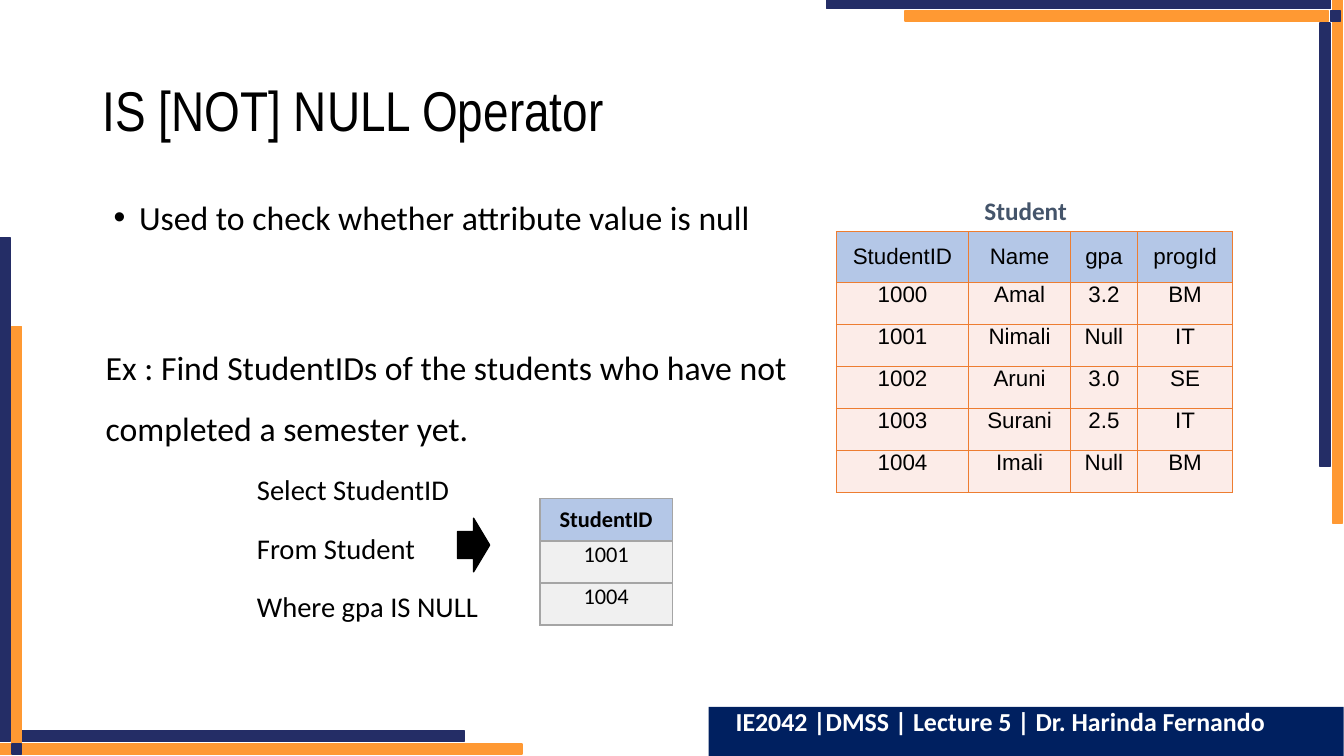
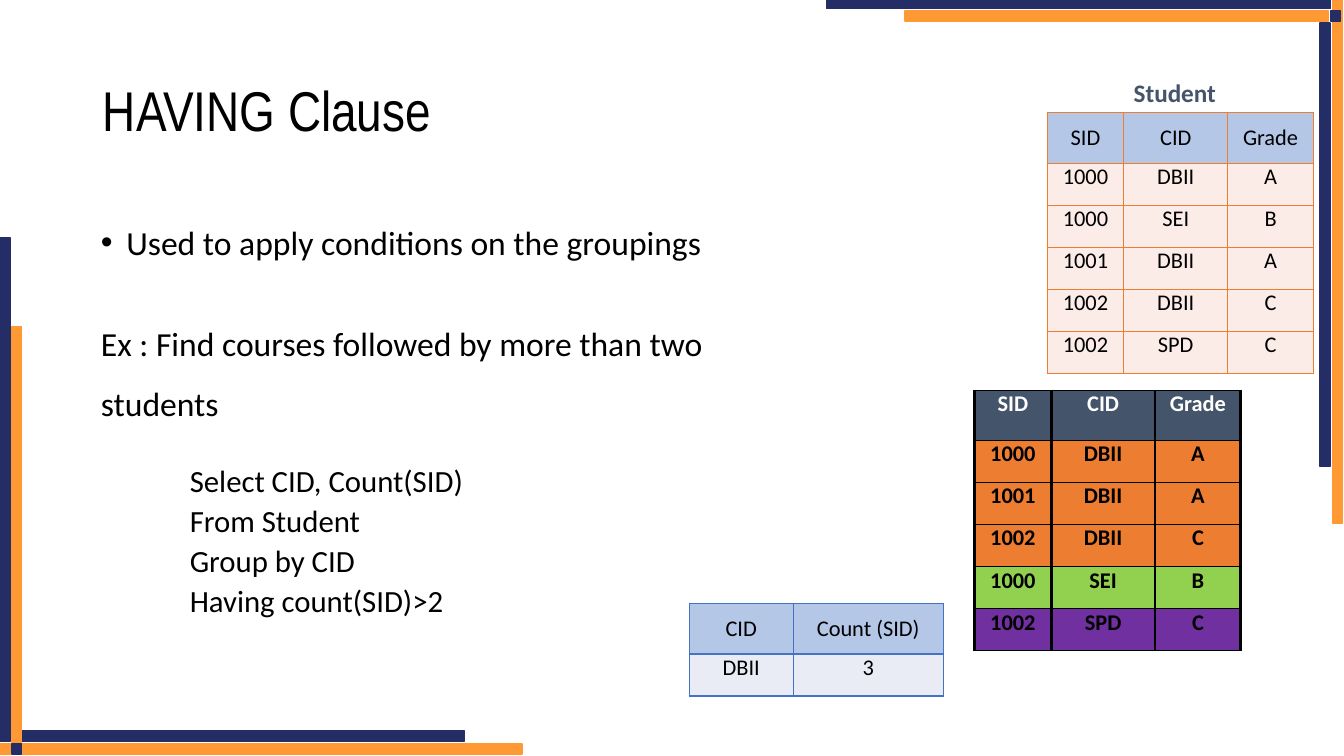
from lxml.etree import SubElement
from pptx import Presentation
from pptx.dml.color import RGBColor
from pptx.enum.shapes import MSO_SHAPE
from pptx.enum.text import MSO_ANCHOR, MSO_AUTO_SIZE, PP_ALIGN
from pptx.oxml.ns import qn
from pptx.util import Cm, Pt

COLORS = {
    "orange_band": "FF9933", "navy_band": "242D66", "footer": "002060",
    "black": "000000", "white": "FFFFFF", "slate": "44546A",
    "header": "B4C7E7", "pink": "FCECE8", "grey": "F0F0F0", "pale_blue": "E9EBF5",
    "orange": "ED7D31", "green": "92D050", "purple": "7030A0",
    "grey_line": "A5A5A5", "blue_line": "4472C4",
}
RGB = {name: RGBColor.from_string(value) for name, value in COLORS.items()}


def write(tf, text, size=16, font="Calibri", color="black", bold=False, align=PP_ALIGN.LEFT,
          line=1.0, before=0, left=0, hang=0, bullet=None, level=0):
    p = tf.add_paragraph() if tf.text else tf.paragraphs[0]
    pPr = p._p.get_or_add_pPr()
    pPr.set("marL", str(Cm(left)))
    pPr.set("indent", str(-Cm(hang)))
    if bullet:
        SubElement(pPr, qn("a:buFont")).set("typeface", "Arial")
        SubElement(pPr, qn("a:buChar")).set("char", bullet)
    else:
        SubElement(pPr, qn("a:buNone"))
    p.level, p.alignment = level, align
    p.line_spacing, p.space_before = line, Pt(before)
    r = p.add_run()
    r.text = text
    r.font.size, r.font.name, r.font.bold = Pt(size), font, bold
    r.font.color.rgb = RGB[color]


def add_grid(s, x, y, cols, rows, fills, border, head_height=1.27, side=1, font="Calibri",
             head_color="black", head_bold=False, bold=False, head_anchor=MSO_ANCHOR.MIDDLE):
    heights = [head_height] + [1.06] * (len(rows) - 1)
    table = s.shapes.add_table(len(rows), len(cols), Cm(x), Cm(y),
                               Cm(sum(cols)), Cm(sum(heights))).table
    for col, width in zip(table.columns, cols):
        col.width = Cm(width)
    for i, (values, height, fill) in enumerate(zip(rows, heights, fills)):
        table.rows[i].height = Cm(height)
        for j, value in enumerate(values):
            cell = table.cell(i, j)
            tcPr = cell._tc.get_or_add_tcPr()
            for tag, width in (("lnL", side), ("lnR", side), ("lnT", 1), ("lnB", 1)):
                ln = SubElement(tcPr, qn("a:" + tag), w=str(Pt(width)))
                SubElement(SubElement(ln, qn("a:solidFill")), qn("a:srgbClr"), val=COLORS[border])
            cell.fill.solid()
            cell.fill.fore_color.rgb = RGB[fill]
            cell.margin_left = cell.margin_right = Cm(0.25)
            cell.margin_top = cell.margin_bottom = 0
            cell.vertical_anchor = MSO_ANCHOR.TOP if i else head_anchor
            write(cell.text_frame, value, font=font, color="black" if i else head_color,
                  bold=bold if i else head_bold, align=PP_ALIGN.CENTER)


prs = Presentation()
prs.slide_width, prs.slide_height = Cm(33.87), Cm(19.05)
layout = prs.slide_layouts[1]
for ph in list(layout.placeholders)[2:]:
    ph._element.getparent().remove(ph._element)
title = layout.placeholders[0]
title.left, title.top, title.width, title.height = map(Cm, (2.34, 1.02, 29.21, 3.68))

slides = []
for heading, body_box, caption_pos in [
    ("IS [NOT] NULL Operator", (2.41, 4.32, 19.08, 11.43), (24.56, 4.8)),
    ("HAVING Clause", (2.29, 4.95, 17.86, 11.43), (28.32, 1.83)),
]:
    s = prs.slides.add_slide(layout)
    title, body = s.placeholders
    write(title.text_frame, heading, size=40, font="Arial Narrow", line=0.9)
    body.left, body.top, body.width, body.height = map(Cm, body_box)
    for sp in (title, body):
        sp.text_frame.auto_size = MSO_AUTO_SIZE.NONE
    caption = s.shapes.add_textbox(*map(Cm, caption_pos), Cm(2.62), Cm(1.02))
    write(caption.text_frame, "Student", size=18, color="slate", bold=True)
    slides.append((s, body.text_frame))

(s, tf), (having, having_tf) = slides

for color, *box in [
    ("orange_band", 33.58, -0.03, 0.25, 13.21),
    ("navy_band", 33.27, 0.58, 0.25, 11.18),
    ("navy_band", 20.83, -0.03, 12.7, 0.25),
    ("orange_band", 22.81, 0.28, 10.67, 0.25),
    ("navy_band", 33.53, 0.28, 0.25, 0.25),
    ("orange_band", -0.05, 18.75, 13.21, 0.25),
    ("navy_band", 0.53, 18.42, 11.18, 0.25),
    ("navy_band", 0, 5.99, 0.25, 12.7),
    ("orange_band", 0.3, 8.23, 0.25, 10.67),
    ("navy_band", 0.3, 18.75, 0.25, 0.25),
]:
    band = s.shapes.add_shape(MSO_SHAPE.RECTANGLE, *map(Cm, box))
    band.shadow.inherit = False
    band.fill.solid()
    band.fill.fore_color.rgb = band.line.color.rgb = RGB[color]
    band.line.width = Pt(1)
    layout.shapes._spTree.append(band._element)

write(tf, "Used to check whether attribute value is null", size=24.1, line=1.5,
      left=0.84, hang=0.64, bullet="•")
write(tf, "Ex : Find StudentIDs of the students who have not completed a semester yet.",
      size=24.1, line=1.5, before=64)
for text in ("Select StudentID", "From Student", "Where gpa IS NULL"):
    write(tf, text, size=20.4, line=1.5, before=5, left=3.81, level=1)

add_grid(s, 13.61, 12.57, [3.33], [["StudentID"], ["1001"], ["1004"]],
         ["header", "grey", "grey"], "grey_line", head_height=1.06, head_bold=True)
add_grid(s, 21.08, 5.84, [3.33, 2.57, 1.68, 2.41], [
    ["StudentID", "Name", "gpa", "progId"],
    ["1000", "Amal", "3.2", "BM"],
    ["1001", "Nimali", "Null", "IT"],
    ["1002", "Aruni", "3.0", "SE"],
    ["1003", "Surani", "2.5", "IT"],
    ["1004", "Imali", "Null", "BM"],
], ["header"] + ["pink"] * 5, "orange", font="Arial")

arrow = s.shapes.add_shape(MSO_SHAPE.RIGHT_ARROW, *map(Cm, (11.53, 13.06, 0.81, 1.35)))
arrow.shadow.inherit = False
arrow.fill.solid()
arrow.fill.fore_color.rgb = arrow.line.color.rgb = RGB["black"]
arrow.line.width = Pt(1)

footer = s.shapes.add_shape(MSO_SHAPE.RECTANGLE, *map(Cm, (17.86, 17.81, 16, 1.24)))
footer.shadow.inherit = False
footer.fill.solid()
footer.fill.fore_color.rgb = RGB["footer"]
footer.line.fill.background()
footer.text_frame.vertical_anchor = MSO_ANCHOR.TOP
write(footer.text_frame, "IE2042 |DMSS | Lecture 5 | Dr. Harinda Fernando",
      size=18.5, color="white", bold=True, line=0.8, left=0.43)

write(having_tf, "Used to apply conditions on the groupings", size=24, line=1.5,
      left=0.64, hang=0.64, bullet="•")
write(having_tf, "Ex : Find courses followed by more than two students",
      size=24, line=1.5, before=29)
query = ["Select CID, Count(SID)", "From Student", "Group by CID", "Having count(SID)>2"]
for i, text in enumerate(query):
    write(having_tf, text, size=22, line=0.9, before=5 if i else 30, left=2.24, level=2)

add_grid(having, 17.37, 15.21, [2.62, 3.78], [["CID", "Count (SID)"], ["DBII", "3"]],
         ["header", "pale_blue"], "blue_line")
grade_cols = [1.93, 2.62, 2.16]
grade_head = ["SID", "CID", "Grade"]
grades = [
    ["1000", "DBII", "A"],
    ["1000", "SEI", "B"],
    ["1001", "DBII", "A"],
    ["1002", "DBII", "C"],
    ["1002", "SPD", "C"],
]
add_grid(having, 26.39, 2.84, grade_cols, [grade_head] + grades,
         ["header"] + ["pink"] * 5, "orange")
group_fills = {"DBII": "orange", "SEI": "green", "SPD": "purple"}
grouped = sorted(grades, key=lambda row: list(group_fills).index(row[1]))
add_grid(having, 24.56, 9.83, grade_cols, [grade_head] + grouped,
         ["slate"] + [group_fills[row[1]] for row in grouped], "black", side=2.25,
         head_color="white", head_bold=True, bold=True, head_anchor=MSO_ANCHOR.TOP)

prs.save("out.pptx")
